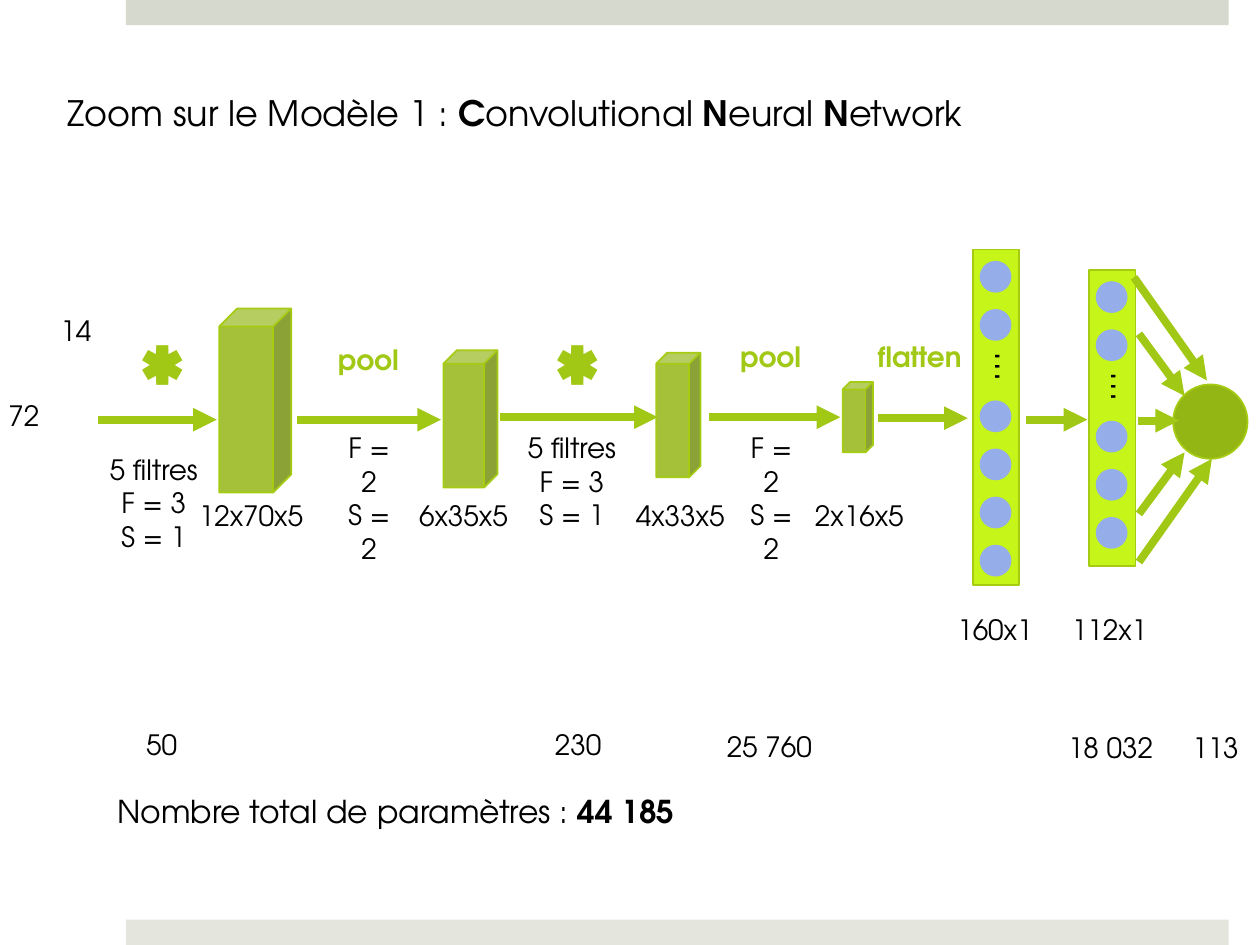
from lxml import etree
from pptx import Presentation
from pptx.dml.color import RGBColor
from pptx.enum.shapes import MSO_CONNECTOR, MSO_SHAPE
from pptx.enum.text import MSO_ANCHOR, MSO_AUTO_SIZE, PP_ALIGN
from pptx.oxml.ns import qn
from pptx.util import Cm, Pt

RECT, CUBE, OVAL = MSO_SHAPE.RECTANGLE, MSO_SHAPE.CUBE, MSO_SHAPE.OVAL
STRAIGHT = MSO_CONNECTOR.STRAIGHT
LEFT, CENTER = PP_ALIGN.LEFT, PP_ALIGN.CENTER
MIDDLE = MSO_ANCHOR.MIDDLE
GROW = MSO_AUTO_SIZE.SHAPE_TO_FIT_TEXT
FONT = "TeX Gyre Adventor"
BLACK, GREEN, EDGE, DARK = "000000", "A2C816", "A5CC12", "93B614"
LIME, BLUE = "C5F519", "95ADE8"
ROW = 0.94  # height of a one-line label


def color(code):
    return RGBColor.from_string(code)


def add_text(shapes, box, text, size=16, ink=BLACK, align=LEFT, wrap=False):
    """Add a text box; the parts between bars are bold."""
    label = shapes.add_textbox(*map(Cm, box))
    frame = label.text_frame
    for i, line in enumerate(text.split("\n")):
        para = frame.add_paragraph() if i else frame.paragraphs[0]
        para.alignment = align
        for j, part in enumerate(line.split("|")):
            if not part:
                continue
            run = para.add_run()
            run.text = part
            run.font.name = FONT
            run.font.size = Pt(size)
            run.font.bold = j % 2 == 1
            run.font.color.rgb = color(ink)
    frame.word_wrap = wrap
    frame.auto_size = GROW
    return label


def add_shape(shapes, kind, box, fill, edge=None, alpha=None):
    """Add a filled shape; alpha is its opacity in percent."""
    shape = shapes.add_shape(kind, *map(Cm, box))
    shape.shadow.inherit = False
    shape.fill.solid()
    shape.fill.fore_color.rgb = color(fill)
    if alpha:
        tint = shape.fill._xPr.find(".//" + qn("a:srgbClr"))
        etree.SubElement(tint, qn("a:alpha")).set("val", str(alpha * 1000))
    if edge:
        shape.line.color.rgb = color(edge)
        shape.line.width = Pt(1)
    else:
        shape.line.fill.background()


def add_arrow(shapes, *ends):
    arrow = shapes.add_connector(STRAIGHT, *map(Cm, ends))
    arrow.line.color.rgb = color(GREEN)
    arrow.line.width = Pt(4.5)
    line = arrow.line._get_or_add_ln()
    etree.SubElement(line, qn("a:tailEnd")).set("type", "triangle")
    etree.SubElement(arrow._element.spPr, qn("a:effectLst"))


def add_layer(shapes, left, top, height, count):
    """Add a dense layer: a column of units with dots after the second."""
    group = shapes.add_group_shape().shapes
    add_shape(group, RECT, (left, top, 0.94, height), LIME, EDGE)
    for i in range(count):
        step = i if i < 2 else i + 0.9
        unit = (left + 0.14, top + 0.23 + 0.97 * step, 0.64, 0.64)
        add_shape(group, OVAL, unit, BLUE)
    dots = add_text(group, (left + 0.17, top + 1.82, 1.12, 1.12), "…", 20)
    dots.text_frame.vertical_anchor = MIDDLE
    dots.rotation = 90


def add_blocks(shapes):
    """Add the cubes with their sizes below."""
    blocks = [
        ((4.42, 6.22, 1.45, 3.71), 3.76, 2.64, "12x70x5"),
        ((8.94, 7.06, 1.09, 2.77), 8.2, 2.31, "6x35x5"),
        ((13.23, 7.11, 0.89, 2.51), 12.57, 2.31, "4x33x5"),
        ((16.99, 7.7, 0.61, 1.42), 16.18, 2.31, "2x16x5"),
    ]
    for box, left, width, size in blocks:
        add_shape(shapes, CUBE, box, DARK, EDGE, 84)
        add_text(shapes, (left, 9.93, width, ROW), size)


def add_steps(shapes):
    """Add the names and settings of the operations."""
    for left, low, base in [(2.57, 1.93, 8.99), (10.92, 10.36, 8.56)]:
        add_text(shapes, (left, 6.35, 1.37, 1.75), "|*", 54, GREEN, CENTER)
        add_text(shapes, (low, base, 2.34, 2.31), "5 filtres\nF = 3\nS = 1",
                 align=CENTER)
    for left in (6.55, 14.66):
        add_text(shapes, (left, 8.56, 1.78, 1.63), "F = 2\nS = 2",
                 align=CENTER, wrap=True)
    names = [(6.55, 6.78, 1.75, "|pool"), (14.66, 6.73, 1.75, "|pool"),
             (17.42, 6.73, 2.24, "|flatten")]
    for left, top, width, name in names:
        add_text(shapes, (left, top, width, ROW), name, 16, GREEN, CENTER)


def add_arrows(shapes):
    flow = [(1.98, 4.37, 8.46), (5.99, 8.89, 8.46), (10.08, 13.26, 8.41),
            (14.3, 16.94, 8.41), (17.7, 19.51, 8.43), (20.68, 21.92, 8.46),
            (22.94, 23.77, 8.48)]
    for start, end, y in flow:
        add_arrow(shapes, start, y, end, y)
    fan = [(22.86, 5.59, 24.33, 7.67), (22.96, 11.33, 24.43, 9.25),
           (22.96, 6.73, 23.88, 7.98), (22.96, 10.36, 23.88, 9.12)]
    for ends in fan:
        add_arrow(shapes, *ends)


def add_counts(shapes):
    """Add the parameter counts and their total."""
    counts = [(2.69, 14.55, 1.14, "50"), (10.92, 14.55, 1.47, "230"),
              (14.38, 14.58, 2.26, "25 760"), (21.26, 14.61, 2.26, "18 032"),
              (23.77, 14.61, 1.47, "113")]
    for left, top, width, count in counts:
        add_text(shapes, (left, top, width, ROW), count, align=CENTER)
    add_text(shapes, (2.11, 15.85, 11.96, 1.02),
             "Nombre total de paramètres : |44 185", 18)


def main():
    deck = Presentation()
    deck.slide_width, deck.slide_height = Cm(25.4), Cm(19.05)
    shapes = deck.slides.add_slide(deck.slide_layouts[6]).shapes
    for top, fill in [(0, "D6D9CD"), (18.54, "E4E6DE")]:
        add_shape(shapes, RECT, (2.54, top, 22.23, 0.51), fill)
    add_text(shapes, (1.12, 1.73, 23.44, 1.12),
             "Zoom sur le Modèle 1 : |C|onvolutional |N|eural |N|etwork",
             20, wrap=True)
    add_text(shapes, (0.97, 6.2, 1.14, ROW), "14")
    add_text(shapes, (-0.08, 7.9, 1.14, ROW), "72")
    add_blocks(shapes)
    add_steps(shapes)
    add_layer(shapes, 19.61, 5.03, 6.76, 6)
    add_layer(shapes, 21.95, 5.44, 5.97, 5)
    for left, size in [(19.05, "160x1"), (21.36, "112x1")]:
        add_text(shapes, (left, 12.22, 2.06, ROW), size)
    add_shape(shapes, OVAL, (23.65, 7.75, 1.5, 1.5), DARK, EDGE)
    add_arrows(shapes)
    add_counts(shapes)
    deck.save("out.pptx")


if __name__ == "__main__":
    main()
